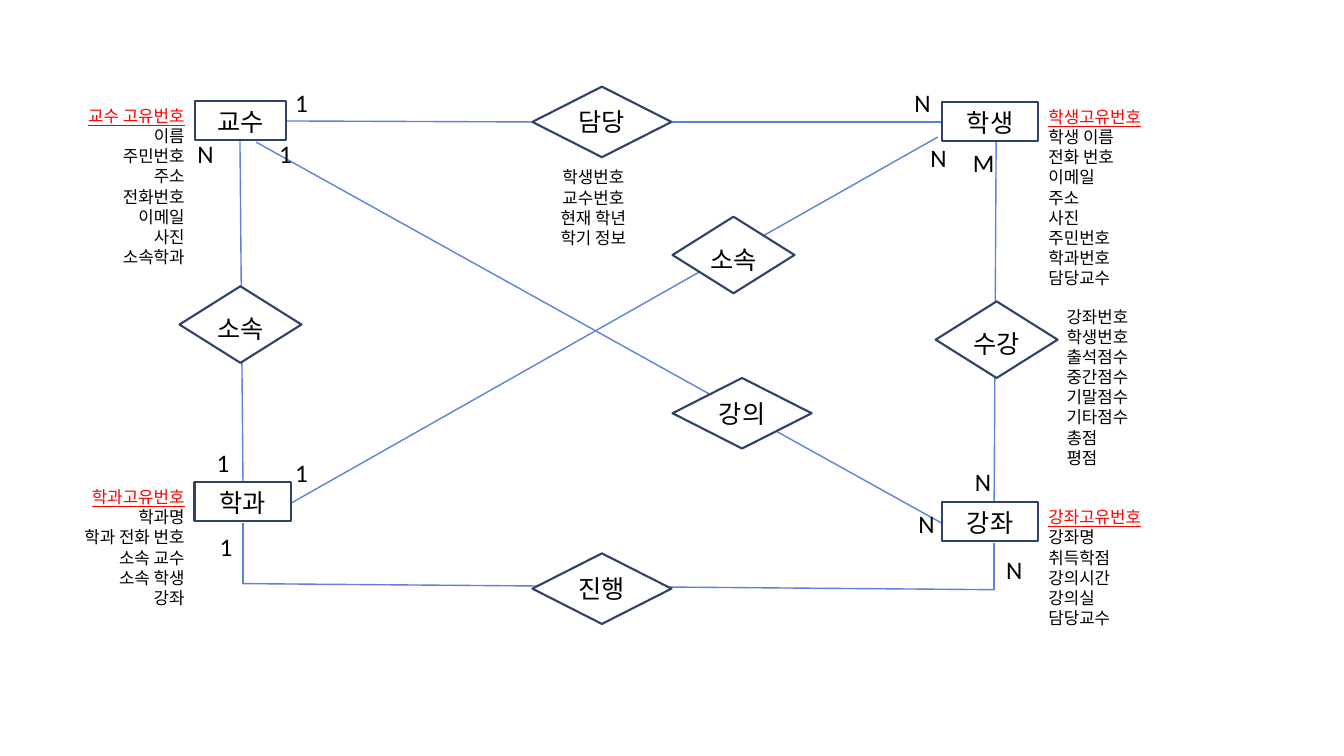
import pptx
import pptx.dml.color
import pptx.enum.shapes
import pptx.enum.text
import pptx.oxml.ns
import pptx.util
from lxml import etree

SHAPE = pptx.enum.shapes.MSO_SHAPE
ALIGN = pptx.enum.text.PP_ALIGN
ANCHOR = pptx.enum.text.MSO_ANCHOR
PX = 9144
COLORS = {"text": "000000", "key": "FF0000", "outline": "30416A",
          "link": "5E81D9", "paper": "FFFFFF"}


def rgb(name):
    return pptx.dml.color.RGBColor.from_string(COLORS[name])


def apply(target, values):
    for name, value in values.items():
        setattr(target, name, value)


class Diagram:
    font = "Calibri"
    node_size = 18
    list_size = 12

    def __init__(self, s):
        self.s = s

    def paragraph(self, p, text, size, align, color="text", underline=False):
        p.alignment = align
        r = p.add_run()
        r.text = text
        apply(r.font, {"name": self.font, "size": pptx.util.Pt(size),
                       "underline": underline})
        r.font.color.rgb = rgb(color)

    def node(self, kind, text, x, y, w, h, drop=0):
        sp = self.s.shapes.add_shape(kind, x * PX, y * PX, w * PX, h * PX)
        sp.shadow.inherit = False
        sp.fill.solid()
        sp.fill.fore_color.rgb = rgb("paper")
        sp.line.color.rgb = rgb("outline")
        sp.line.width = pptx.util.Pt(1.5)
        tf = sp.text_frame
        apply(tf, {"margin_left": 0, "margin_right": 0, "margin_top": drop * PX,
                   "margin_bottom": 0, "word_wrap": False,
                   "vertical_anchor": ANCHOR.MIDDLE})
        self.paragraph(tf.paragraphs[0], text, self.node_size, ALIGN.CENTER)

    def entity(self, text, x, y, w):
        self.node(SHAPE.RECTANGLE, text, x, y, w, 39, 2)

    def relation(self, text, x, y, w, h, drop=0):
        self.node(SHAPE.FLOWCHART_DECISION, text, x, y, w, h, drop)

    def link(self, x1, y1, x2, y2):
        c = self.s.shapes.add_connector(
            pptx.enum.shapes.MSO_CONNECTOR.STRAIGHT,
            x1 * PX, y1 * PX, x2 * PX, y2 * PX)
        c.line.color.rgb = rgb("link")
        c.line.width = pptx.util.Pt(1)
        etree.SubElement(c._element.spPr, pptx.oxml.ns.qn("a:effectLst"))

    def box(self, x, y, w, h):
        tf = self.s.shapes.add_textbox(x * PX, y * PX, w * PX, h * PX).text_frame
        tf.word_wrap = True
        return tf

    def cardinality(self, text, x, y):
        tf = self.box(x, y, 33, 40)
        self.paragraph(tf.paragraphs[0], text, self.node_size, ALIGN.LEFT)

    def attributes(self, names, x, y, w, align, key=True):
        tf = self.box(x, y, w, 10 + 20 * len(names))
        for i, name in enumerate(names):
            p = tf.add_paragraph() if i else tf.paragraphs[0]
            is_key = key and i == 0
            self.paragraph(p, name, self.list_size, align,
                           "key" if is_key else "text", is_key)


LINKS = [
    (283, 120, 528, 121), (667, 121, 934, 121), (254, 141, 934, 519),
    (238, 140, 241, 478), (289, 499, 930, 136), (241, 519, 241, 579),
    (986, 539, 986, 585), (241, 579, 986, 585), (988, 141, 986, 499),
]
ENTITIES = [("교수", 193, 100, 91), ("학생", 934, 101, 96),
            ("학과", 193, 478, 96), ("강좌", 934, 498, 96)]
RELATIONS = [
    ("담당", 528, 86, 138, 70), ("강의", 667, 375, 138, 70),
    ("진행", 528, 549, 138, 70), ("소속", 667, 215, 121, 76, 8),
    ("소속", 178, 284, 121, 76, 8), ("수강", 928, 299, 121, 76, 8),
]
CARDINALITIES = [
    ("1", 283, 82), ("N", 897, 82), ("M", 955, 141), ("N", 957, 458),
    ("1", 267, 132), ("N", 901, 499), ("1", 205, 439), ("1", 283, 449),
    ("N", 913, 136), ("N", 186, 132), ("1", 208, 522), ("N", 988, 545),
]
ATTRIBUTES = [
    (["교수 고유번호", "이름", "주민번호", "주소", "전화번호", "이메일", "사진",
      "소속학과"], 35, 100, 158, ALIGN.RIGHT),
    (["학과고유번호", "학과명", "학과 전화 번호", "소속 교수", "소속 학생", "강좌"],
     0, 478, 193, ALIGN.RIGHT),
    (["학생고유번호", "학생 이름", "전화 번호", "이메일", "주소", "사진",
      "주민번호", "학과번호", "담당교수"], 1030, 101, 193, ALIGN.LEFT),
    (["강좌고유번호", "강좌명", "취득학점", "강의시간", "강의실", "담당교수"],
     1030, 498, 193, ALIGN.LEFT),
    (["학생번호", "교수번호", "현재 학년", "학기 정보"],
     528, 161, 121, ALIGN.CENTER, False),
    (["강좌번호", "학생번호", "출석점수", "중간점수", "기말점수", "기타점수",
      "총점", "평점"], 1048, 299, 156, ALIGN.LEFT, False),
]


def main():
    prs = pptx.Presentation()
    apply(prs, {"slide_width": 1333 * PX, "slide_height": 750 * PX})
    d = Diagram(prs.slides.add_slide(prs.slide_layouts[6]))
    for draw, rows in ((d.link, LINKS), (d.entity, ENTITIES),
                       (d.relation, RELATIONS), (d.attributes, ATTRIBUTES),
                       (d.cardinality, CARDINALITIES)):
        for row in rows:
            draw(*row)
    prs.save("out.pptx")


if __name__ == "__main__":
    main()
